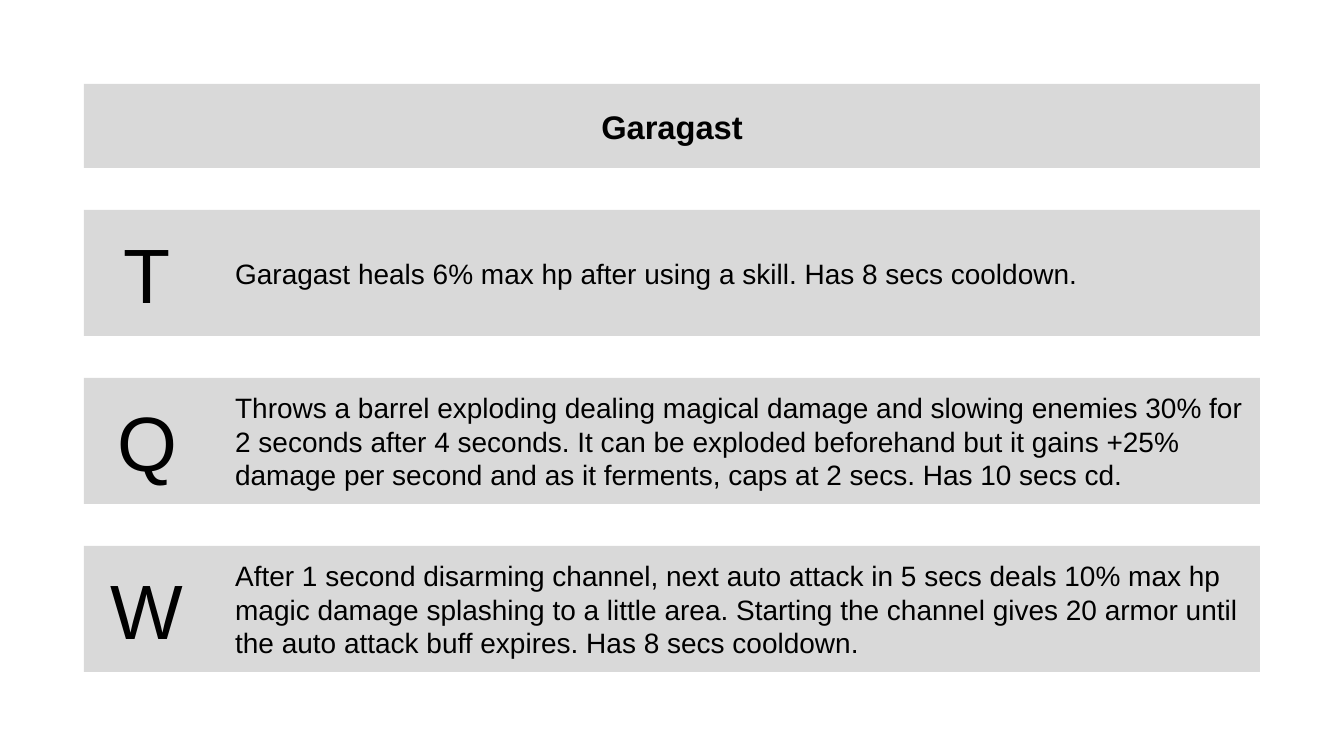
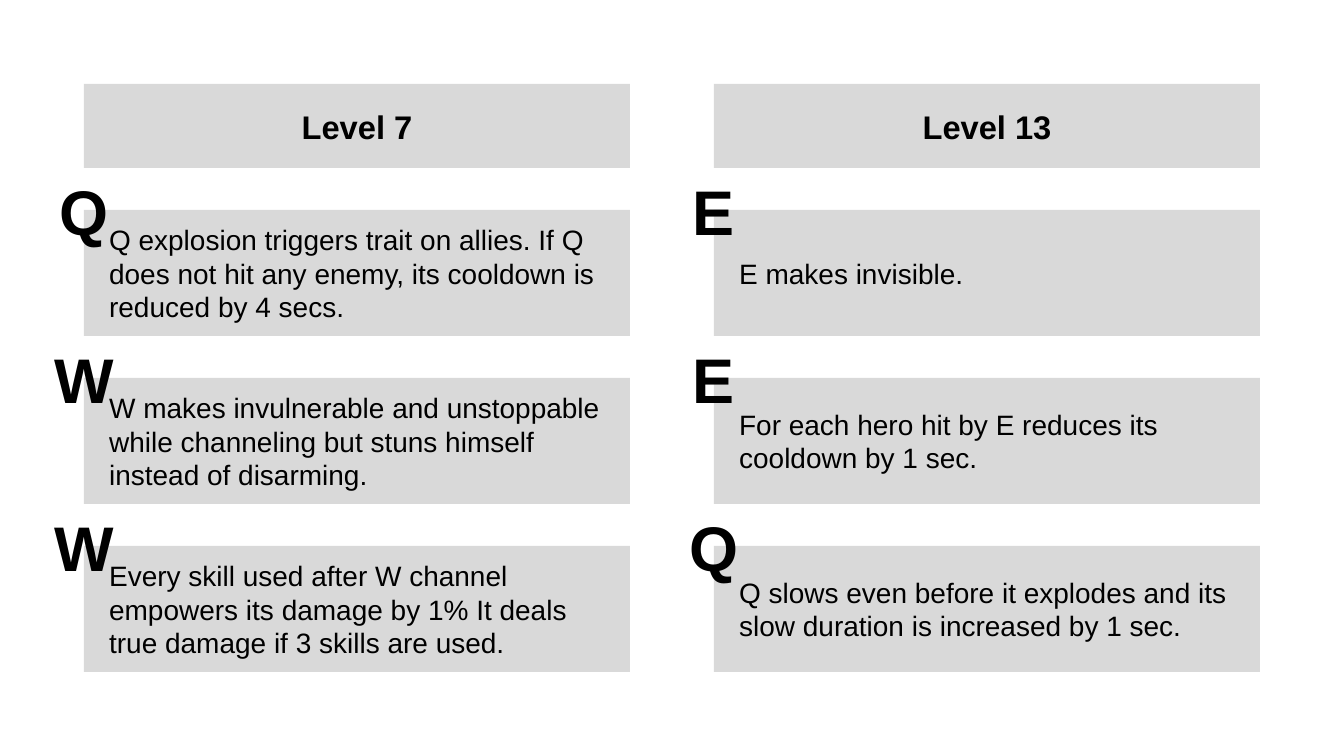
from dataclasses import dataclass

from pptx import Presentation
from pptx import util as u
from pptx.dml.color import RGBColor
from pptx.enum import shapes, text

HERO = "Garagast"
SKILLS = [
    ("T", "Garagast heals 6% max hp after using a skill. Has 8 secs cooldown."),
    ("Q", "Throws a barrel exploding dealing magical damage and slowing enemies 30% for "
          "2 seconds after 4 seconds. It can be exploded beforehand but it gains +25% "
          "damage per second and as it ferments, caps at 2 secs. Has 10 secs cd."),
    ("W", "After 1 second disarming channel, next auto attack in 5 secs deals 10% max hp "
          "magic damage splashing to a little area. Starting the channel gives 20 armor "
          "until the auto attack buff expires. Has 8 secs cooldown."),
]
LEVELS = [
    ("Level 7", [
        ("Q", "Q explosion triggers trait on allies. If Q does not hit any enemy, "
              "its cooldown is reduced by 4 secs."),
        ("W", "W makes invulnerable and unstoppable while channeling but stuns himself "
              "instead of disarming."),
        ("W", "Every skill used after W channel empowers its damage by 1% "
              "It deals true damage if 3 skills are used."),
    ]),
    ("Level 13", [
        ("E", "E makes invisible."),
        ("E", "For each hero hit by E reduces its cooldown by 1 sec."),
        ("Q", "Q slows even before it explodes and its slow duration is increased by 1 sec."),
    ]),
]


@dataclass(frozen=True)
class Theme:
    """Colours, font and type sizes shared by the slides."""
    panel: RGBColor = RGBColor(0xD9, 0xD9, 0xD9)
    ink: RGBColor = RGBColor(0, 0, 0)
    font: str = "Arial"
    title: int = 28
    body: int = 24
    key: int = 66
    badge: int = 54


T = Theme()

# Layout in cm
SLIDE_W, SLIDE_H = 40.64, 22.86
MARGIN = 2.54
CONTENT_W = SLIDE_W - 2 * MARGIN
TITLE_H = 2.54
ROW_H = 3.81
ROW_GAP = 1.27
COLUMN_GAP = 2.54
BADGE = 2.54
TEXT_INDENT = 0.51


def row_top(i):
    """Return the top of row i below the title."""
    return MARGIN + TITLE_H + ROW_GAP + i * (ROW_H + ROW_GAP)


def write(sp, words, size, bold=False, centred=True):
    """Put one paragraph in the vertical middle of a shape."""
    tf = sp.text_frame
    tf.word_wrap = True
    tf.vertical_anchor = text.MSO_ANCHOR.MIDDLE
    p = tf.paragraphs[0]
    p.text = words
    p.alignment = text.PP_ALIGN.CENTER if centred else text.PP_ALIGN.LEFT
    if not centred:
        p._p.get_or_add_pPr().set("marL", str(u.Cm(TEXT_INDENT)))
    p.font.name, p.font.size, p.font.bold = T.font, u.Pt(size), bold
    p.font.color.rgb = T.ink


def add_panel(s, x, y, w, h, words, size, **style):
    """Add a grey rectangle with text."""
    sp = s.shapes.add_shape(shapes.MSO_SHAPE.RECTANGLE, *map(u.Cm, (x, y, w, h)))
    sp.shadow.inherit = False
    sp.fill.solid()
    sp.fill.fore_color.rgb = T.panel
    sp.line.fill.background()
    write(sp, words, size, **style)


def add_title(s, x, w, words):
    """Add a title band."""
    add_panel(s, x, MARGIN, w, TITLE_H, words, T.title, bold=True)


def add_badge(s, x, y, letter):
    """Add a bold letter centred on a panel corner."""
    box = s.shapes.add_textbox(*map(u.Cm, (x - BADGE / 2, y - BADGE / 2, BADGE, BADGE)))
    write(box, letter, T.badge, bold=True)


def skills_slide(s):
    """Show the hero name and one row per skill."""
    add_title(s, MARGIN, CONTENT_W, HERO)
    for i, (key, words) in enumerate(SKILLS):
        y = row_top(i)
        add_panel(s, MARGIN, y, ROW_H, ROW_H, key, T.key)
        add_panel(s, MARGIN + ROW_H, y, CONTENT_W - ROW_H, ROW_H, words, T.body,
                  centred=False)


def levels_slide(s):
    """Show one column of upgrades per level."""
    w = (CONTENT_W - COLUMN_GAP) / len(LEVELS)
    for column, (level, upgrades) in enumerate(LEVELS):
        x = MARGIN + column * (w + COLUMN_GAP)
        add_title(s, x, w, level)
        for i, (key, words) in enumerate(upgrades):
            y = row_top(i)
            add_panel(s, x, y, w, ROW_H, words, T.body, centred=False)
            add_badge(s, x, y, key)


prs = Presentation()
prs.slide_width, prs.slide_height = u.Cm(SLIDE_W), u.Cm(SLIDE_H)
for build in (skills_slide, levels_slide):
    build(prs.slides.add_slide(prs.slide_layouts[6]))
prs.save("out.pptx")
